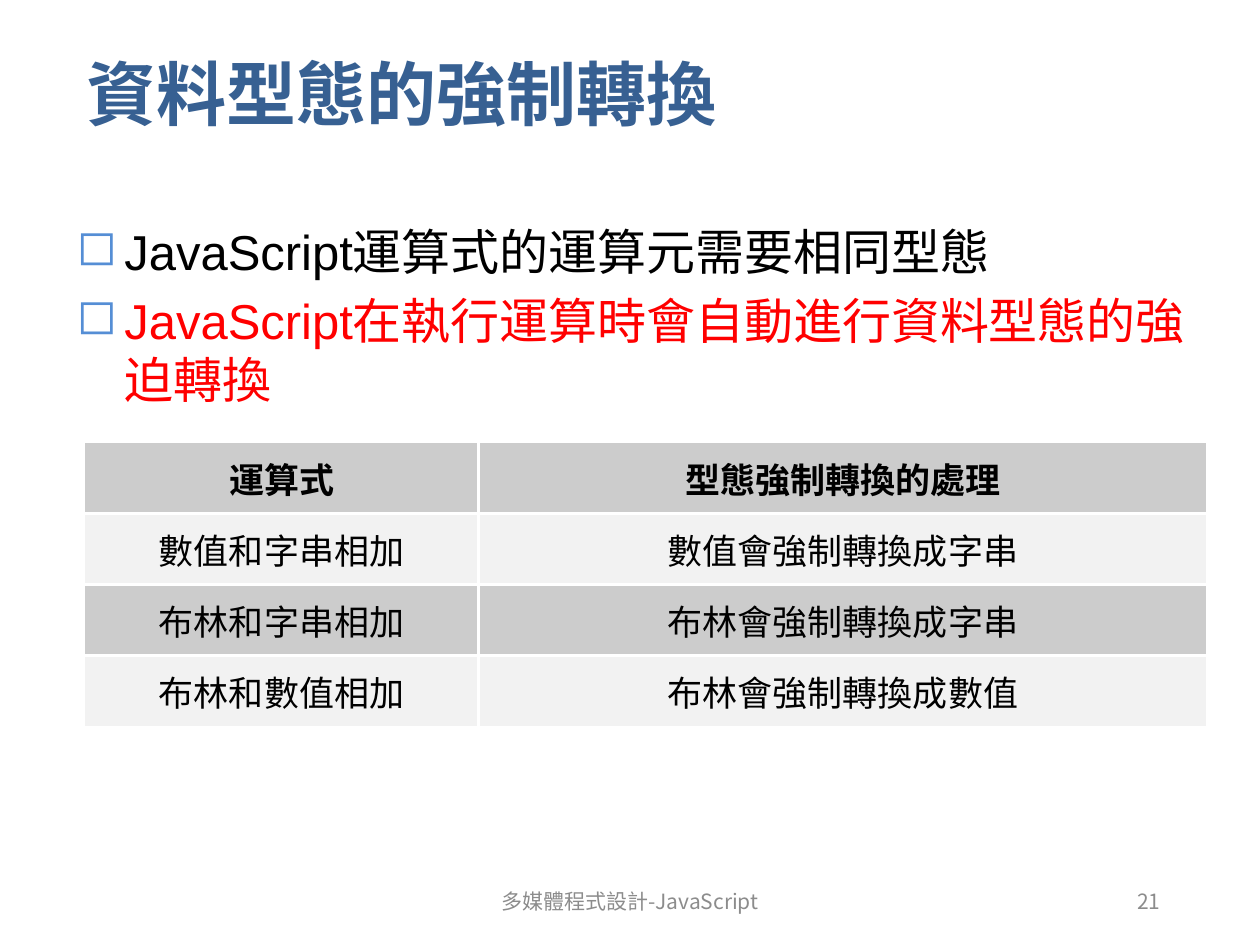
from lxml import etree
from pptx import Presentation
from pptx.dml.color import RGBColor
from pptx.enum import text
from pptx.oxml import ns
from pptx.util import Inches, Pt

THEME = {
    "title": {"size": 40, "color": "376092", "font": "Arial", "bold": True},
    "body": {"size": 28, "color": "000000", "font": "Arial", "bold": False},
    "key": {"size": 28, "color": "FF0000", "font": "Arial", "bold": False},
    "head": {"size": 20, "color": "000000", "font": "Times New Roman", "bold": True},
    "cell": {"size": 20, "color": "000000", "font": "Times New Roman", "bold": False},
    "footer": {"size": 12, "color": "8C8C8C", "font": "Noto Sans CJK KR", "bold": False},
    "bullet": "558ED5",
    "bands": ("CCCCCC", "F2F2F2"),
    "border": ("FFFFFF", 2),
}
LEFT, CENTER, RIGHT = text.PP_ALIGN.LEFT, text.PP_ALIGN.CENTER, text.PP_ALIGN.RIGHT
TOP, MIDDLE = text.MSO_ANCHOR.TOP, text.MSO_ANCHOR.MIDDLE

BOXES = [
    ((0.59, 0.05, 8.72, 1.37), MIDDLE, LEFT, [("資料型態的強制轉換", "title")]),
    ((0.51, 1.7, 9, 5.11), TOP, LEFT, [
        ("JavaScript運算式的運算元需要相同型態", "body"),
        ("JavaScript在執行運算時會自動進行資料型態的強迫轉換", "key"),
    ]),
    ((3.31, 6.95, 3.38, 0.4), MIDDLE, CENTER, [("多媒體程式設計-JavaScript", "footer")]),
    ((7.06, 6.95, 2.25, 0.4), MIDDLE, RIGHT, [("21", "footer")]),
]
CONVERSIONS = [
    ("運算式", "型態強制轉換的處理"),
    ("數值和字串相加", "數值會強制轉換成字串"),
    ("布林和字串相加", "布林會強制轉換成字串"),
    ("布林和數值相加", "布林會強制轉換成數值"),
]
TABLE_AT = (0.67, 3.51, 8.91, 2.26)
COLUMNS = (3.13, 5.78)


def child(parent, tag, **attrs):
    """Append a DrawingML element to parent."""
    return etree.SubElement(parent, ns.qn(f"a:{tag}"), attrs)


def write(p, words, style, align):
    """Put one styled run in a paragraph."""
    look = THEME[style]
    p.alignment = align
    r = p.add_run()
    r.text = words
    values = {"size": Pt(look["size"]), "name": look["font"], "bold": look["bold"]}
    for name, value in values.items():
        setattr(r.font, name, value)
    r.font.color.rgb = RGBColor.from_string(look["color"])


def add_bullet(p):
    """Give a body paragraph its hanging square and spacing."""
    p.space_before, p.line_spacing = Pt(5.6), Pt(34)
    pPr = p._p.get_or_add_pPr()
    pPr.set("marL", str(Inches(0.38)))
    pPr.set("indent", str(-Inches(0.38)))
    child(child(pPr, "buClr"), "srgbClr", val=THEME["bullet"])
    child(pPr, "buChar", char="◻")


def add_box(s, at, anchor, align, lines):
    """Add a wrapped text box with its paragraphs."""
    tf = s.shapes.add_textbox(*map(Inches, at)).text_frame
    for name, value in {"word_wrap": True, "vertical_anchor": anchor}.items():
        setattr(tf, name, value)
    for i, (words, style) in enumerate(lines):
        p = tf.add_paragraph() if i else tf.paragraphs[0]
        write(p, words, style, align)
        if style in ("body", "key"):
            add_bullet(p)


def paint_cell(cell, fill, edges):
    """Set the borders and fill of a table cell."""
    color, width = THEME["border"]
    tcPr = cell._tc.get_or_add_tcPr()
    for edge in edges:
        ln = child(tcPr, f"ln{edge}", w=str(Pt(width)))
        child(child(ln, "solidFill"), "srgbClr", val=color)
    cell.fill.solid()
    cell.fill.fore_color.rgb = RGBColor.from_string(fill)


def add_conversions(s):
    """Add the banded conversion table."""
    size = len(CONVERSIONS), len(COLUMNS)
    table = s.shapes.add_table(*size, *map(Inches, TABLE_AT)).table
    for column, width in zip(table.columns, COLUMNS):
        column.width = Inches(width)
    for i, row in enumerate(CONVERSIONS):
        for j, words in enumerate(row):
            cell = table.cell(i, j)
            cell.vertical_anchor = MIDDLE
            write(cell.text_frame.paragraphs[0], words, "cell" if i else "head", CENTER)
            inner = {"L": j > 0, "R": j < size[1] - 1, "T": i > 0, "B": i < size[0] - 1}
            paint_cell(cell, THEME["bands"][i % 2], [e for e, on in inner.items() if on])


def main():
    """Build the type conversion slide."""
    prs = Presentation()
    prs.slide_width, prs.slide_height = Inches(10), Inches(7.5)
    s = prs.slides.add_slide(prs.slide_layouts[6])
    for box in BOXES:
        add_box(s, *box)
    add_conversions(s)
    prs.save("out.pptx")


if __name__ == "__main__":
    main()
